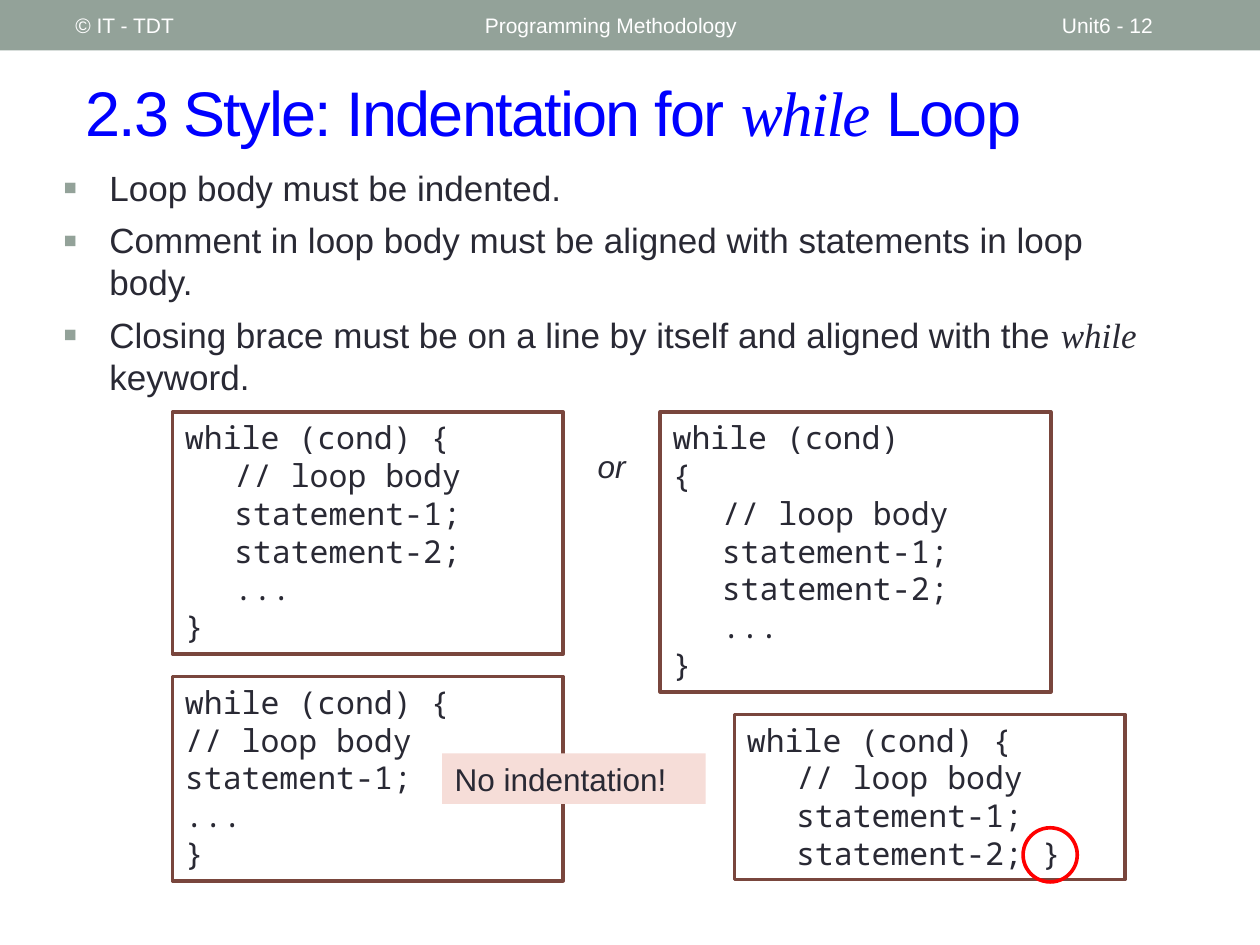
from dataclasses import dataclass
from typing import Optional

from lxml.etree import SubElement
from pptx import Presentation
from pptx.dml.color import RGBColor
from pptx.enum.shapes import MSO_SHAPE as Shape
from pptx.enum.text import MSO_ANCHOR as Anchor, MSO_AUTO_SIZE as AutoSize, PP_ALIGN as Align
from pptx.oxml.ns import qn
from pptx.util import Inches, Pt

SAGE = RGBColor(0x93, 0xA2, 0x99)
WHITE = RGBColor(0xFF, 0xFF, 0xFF)
BLUE = RGBColor(0x00, 0x00, 0xFF)
INK = RGBColor(0x29, 0x29, 0x34)
BROWN = RGBColor(0x79, 0x46, 0x3D)
PINK = RGBColor(0xF6, 0xDD, 0xD8)
RED = RGBColor(0xFF, 0x00, 0x00)

SANS, SERIF, MONO = "Arial", "Times New Roman", "Noto Sans Mono"
LINE_WIDTH = Pt(2.08)
CODE_WIDTH = 3.1
TAB_STOPS = (0.39, 0.79)
BULLET_INDENT = 0.37


@dataclass(frozen=True)
class Area:
    left: float
    top: float
    width: float
    height: float

    def lengths(self) -> tuple:
        return tuple(Inches(v) for v in (self.left, self.top, self.width, self.height))


@dataclass(frozen=True)
class Span:
    text: str
    font: str = SANS
    italic: bool = False


@dataclass(frozen=True)
class Label:
    area: Area
    span: Span
    size: float = 18
    color: RGBColor = INK
    align: Align = Align.LEFT
    anchor: Anchor = Anchor.TOP


@dataclass(frozen=True)
class CodeBox:
    area: Area
    lines: tuple


WHILE = Span("while", SERIF, True)
TITLE = (Span("2.3 Style: Indentation for "), WHILE, Span(" Loop"))
BULLETS = (
    (Span("Loop body must be indented."),),
    (Span("Comment in loop body must be aligned with statements in loop body."),),
    (Span("Closing brace must be on a line by itself and aligned with the "), WHILE, Span(" keyword.")),
)
HEADERS = tuple(
    Label(Area(left, 0.02, width, 0.36), Span(text), 12, WHITE, anchor=Anchor.MIDDLE)
    for left, width, text in (
        (0.5, 3.17, "© IT - TDT"),
        (3.75, 4.5, "Programming Methodology"),
        (8.33, 1.17, "Unit6 - 12"),
    )
)
OR_LABEL = Label(Area(4.47, 3.5, 0.77, 0.4), Span("or", italic=True), align=Align.CENTER)
WARNING = Label(Area(3.51, 5.98, 2.09, 0.4), Span("No indentation!"))
BODY = ("\t// loop body", "\tstatement-1;", "\tstatement-2;", "\t...", "}")
CODE_BOXES = (
    CodeBox(Area(1.37, 3.27, CODE_WIDTH, 1.92), ("while (cond) {", *BODY)),
    CodeBox(Area(5.24, 3.27, CODE_WIDTH, 2.22), ("while (cond)", "{", *BODY)),
    CodeBox(Area(1.37, 5.37, CODE_WIDTH, 1.62),
            ("while (cond) {", "// loop body", "statement-1;", "...", "}")),
    CodeBox(Area(5.83, 5.67, CODE_WIDTH, 1.31),
            ("while (cond) {", "\t// loop body", "\tstatement-1;", "\tstatement-2; }")),
)


def add_span(para, span: Span, size: float, color: RGBColor):
    run = para.add_run()
    run.text = span.text
    run.font.name = span.font
    run.font.size = Pt(size)
    run.font.italic = span.italic
    run.font.color.rgb = color
    return run


def prepare_frame(shape, anchor: Anchor = Anchor.TOP):
    frame = shape.text_frame
    frame.word_wrap = True
    frame.auto_size = AutoSize.NONE
    frame.vertical_anchor = anchor
    return frame


def next_paragraph(frame, index: int):
    return frame.add_paragraph() if index else frame.paragraphs[0]


def add_shape(page, kind: Shape, area: Area, fill: Optional[RGBColor] = None,
              line: Optional[RGBColor] = None):
    shape = page.shapes.add_shape(kind, *area.lengths())
    shape.shadow.inherit = False
    if fill is None:
        shape.fill.background()
    else:
        shape.fill.solid()
        shape.fill.fore_color.rgb = fill
    if line is None:
        shape.line.fill.background()
    else:
        shape.line.color.rgb = line
        shape.line.width = LINE_WIDTH
    return shape


def add_label(page, label: Label, fill: Optional[RGBColor] = None) -> None:
    if fill is None:
        box = page.shapes.add_textbox(*label.area.lengths())
    else:
        box = add_shape(page, Shape.RECTANGLE, label.area, fill)
    para = prepare_frame(box, label.anchor).paragraphs[0]
    para.alignment = label.align
    add_span(para, label.span, label.size, label.color)


def set_tabs(para) -> None:
    tabs = SubElement(para._p.get_or_add_pPr(), qn("a:tabLst"))
    for stop in TAB_STOPS:
        SubElement(tabs, qn("a:tab"), pos=str(Inches(stop)), algn="l")


def set_bullet(para) -> None:
    properties = para._p.get_or_add_pPr()
    properties.set("marL", str(Inches(BULLET_INDENT)))
    properties.set("indent", str(-Inches(BULLET_INDENT)))
    color = SubElement(properties, qn("a:buClr"))
    SubElement(color, qn("a:srgbClr"), val=str(SAGE))
    SubElement(properties, qn("a:buSzPct"), val="120000")
    SubElement(properties, qn("a:buFont"), typeface=SANS)
    SubElement(properties, qn("a:buChar"), char="▪")


def add_code_box(page, code: CodeBox) -> None:
    frame = prepare_frame(add_shape(page, Shape.RECTANGLE, code.area, WHITE, BROWN))
    for index, line in enumerate(code.lines):
        para = next_paragraph(frame, index)
        para.alignment = Align.LEFT
        set_tabs(para)
        add_span(para, Span(line, MONO), 18, INK)


def add_bullets(page, area: Area) -> None:
    frame = prepare_frame(page.shapes.add_textbox(*area.lengths()))
    for index, spans in enumerate(BULLETS):
        para = next_paragraph(frame, index)
        set_bullet(para)
        if index:
            para.space_before = Pt(6)
        for span in spans:
            add_span(para, span, 20, INK)


def set_title(page, area: Area) -> None:
    title = page.shapes.title
    title.left, title.top, title.width, title.height = area.lengths()
    para = prepare_frame(title, Anchor.MIDDLE).paragraphs[0]
    para.alignment = Align.LEFT
    for span in TITLE:
        run = add_span(para, span, 36, BLUE)
        run.font._element.set("spc", "-100")


def main() -> None:
    deck = Presentation()
    deck.slide_width, deck.slide_height = Inches(10), Inches(7.5)
    page = deck.slides.add_slide(deck.slide_layouts[5])

    add_shape(page, Shape.RECTANGLE, Area(0, 0, 10, 0.4), SAGE)
    set_title(page, Area(0.58, 0.42, 9.17, 0.92))
    for header in HEADERS:
        add_label(page, header)
    add_bullets(page, Area(0.4, 1.27, 8.92, 2))
    for code in CODE_BOXES:
        add_code_box(page, code)
    add_label(page, OR_LABEL)
    add_label(page, WARNING, PINK)
    add_shape(page, Shape.OVAL, Area(8.12, 6.57, 0.43, 0.43), line=RED)

    deck.save("out.pptx")


if __name__ == "__main__":
    main()
